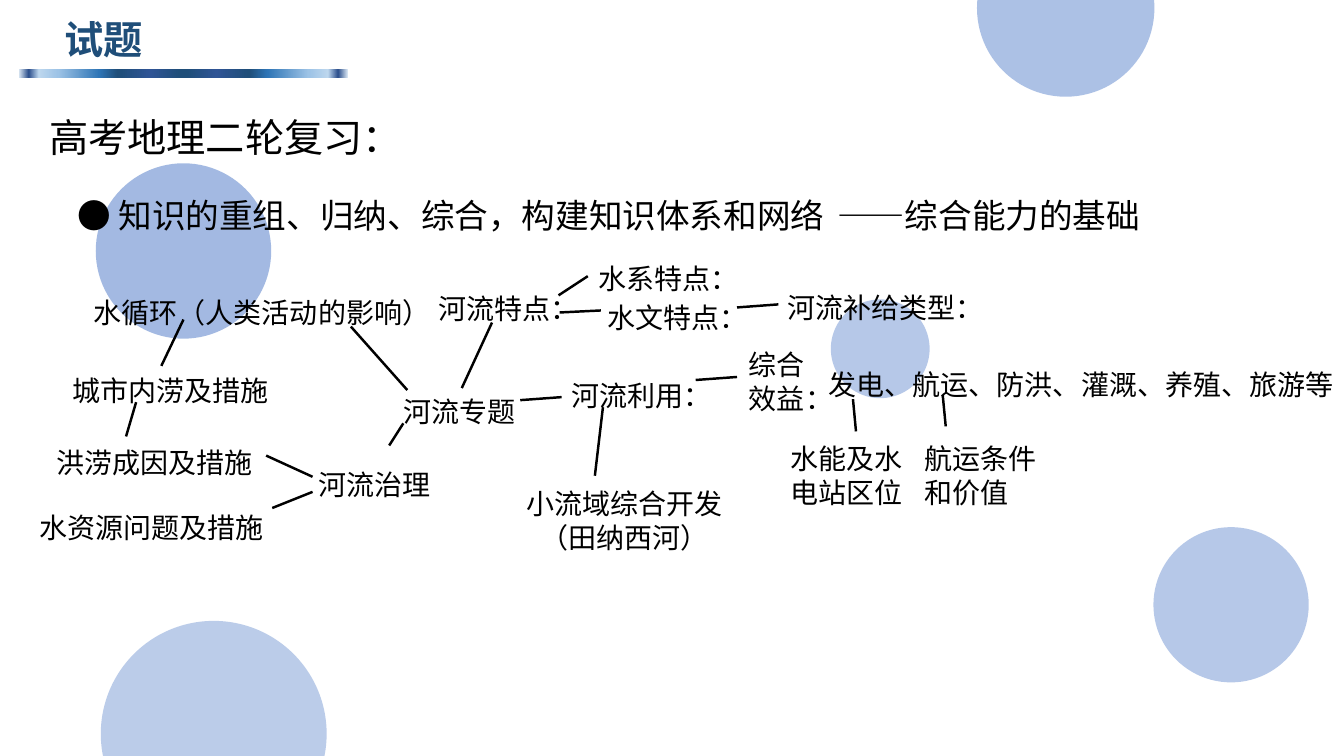
from typing import NamedTuple

from lxml import etree
from pptx import Presentation
from pptx.dml.color import RGBColor
from pptx.enum.shapes import MSO_CONNECTOR, MSO_SHAPE
from pptx.enum.text import MSO_AUTO_SIZE, PP_ALIGN
from pptx.oxml.ns import qn
from pptx.util import Emu, Pt

PX = 9144
FONT = "Noto Sans CJK SC"
BLACK = RGBColor(0x00, 0x00, 0x00)
NAVY = RGBColor(0x1F, 0x4E, 0x79)
BLUE = RGBColor(0x44, 0x72, 0xC4)
OVAL, RECT = MSO_SHAPE.OVAL, MSO_SHAPE.RECTANGLE
STRAIGHT = MSO_CONNECTOR.STRAIGHT
LEFT, CENTER = PP_ALIGN.LEFT, PP_ALIGN.CENTER
FIT = MSO_AUTO_SIZE.SHAPE_TO_FIT_TEXT


class Label(NamedTuple):
    text: str
    x: int
    y: int
    w: int
    h: int = 61
    size: int = 20
    spacing: float = 1.5
    align: PP_ALIGN = LEFT
    color: RGBColor = BLACK
    bold: bool = False


class Bubble(NamedTuple):
    x: int
    y: int
    d: int
    alpha: int


class Link(NamedTuple):
    x1: int
    y1: int
    x2: int
    y2: int


BAR_STOPS = [
    (2, "1F4E79"), (20, "2F5495"), (40, "1F4E79"), (51, "2E75B6"),
    (76, "9DC3E6"), (88, "BDD7EE"), (94, "2D508D"), (100, "DEEBF7"),
]

BUBBLES = [
    Bubble(95, 162, 174, 49),
    Bubble(824, 297, 98, 39),
    Bubble(1144, 523, 154, 39),
    Bubble(969, -80, 176, 44),
    Bubble(100, 616, 224, 36),
]

LABELS = [
    Label("试题", 54, 10, 142, 57, 28, 1.0, color=NAVY, bold=True),
    Label("高考地理二轮复习：", 39, 84, 415, 81, 28),
    Label("● 知识的重组、归纳、综合，构建知识体系和网络", 67, 168, 763, 71, 24),
    Label("——综合能力的基础", 821, 168, 390, 71, 24),
    Label("河流专题", 390, 370, 161),
    Label("水循环（人类活动的影响）", 83, 272, 378),
    Label("河流特点：", 425, 268, 161, 55),
    Label("水系特点：", 584, 238, 161),
    Label("水文特点：", 593, 277, 161),
    Label("河流补给类型：", 771, 267, 196),
    Label("河流利用：", 557, 354, 149, 55),
    Label("综合效益：", 733, 340, 89, 77, spacing=1.0),
    Label("发电、航运、防洪、灌溉、养殖、旅游等", 812, 343, 533),
    Label("水能及水电站区位", 774, 433, 148, 77, spacing=1.0),
    Label("航运条件和价值", 907, 433, 132, 77, spacing=1.0),
    Label("小流域综合开发（田纳西河）", 502, 478, 235, 77, spacing=1.0, align=CENTER),
    Label("河流治理", 306, 442, 161, 55),
    Label("水资源问题及措施", 29, 485, 256),
    Label("洪涝成因及措施", 46, 420, 236),
    Label("城市内涝及措施", 62, 349, 236),
]

LINKS = [
    Link(348, 324, 404, 387),
    Link(488, 320, 458, 385),
    Link(583, 274, 554, 293),
    Link(596, 308, 555, 310),
    Link(772, 302, 731, 305),
    Link(557, 394, 516, 397),
    Link(731, 374, 690, 377),
    Link(846, 396, 849, 428),
    Link(935, 392, 938, 423),
    Link(598, 404, 590, 472),
    Link(400, 420, 386, 442),
    Link(310, 473, 264, 452),
    Link(310, 488, 270, 504),
    Link(125, 433, 135, 399),
    Link(160, 363, 182, 317),
]


def px(*values: int) -> list[Emu]:
    """Turn pixel lengths into EMU."""
    return [Emu(v * PX) for v in values]


def add_bar(slide) -> None:
    """Draw the rule under the title with its radial gradient."""
    sp = slide.shapes.add_shape(RECT, *px(19, 69, 326, 8))
    sp.shadow.inherit = False
    sp.line.fill.background()
    sp.fill.gradient()
    grad = sp._element.spPr.find(qn("a:gradFill"))
    for child in list(grad):
        grad.remove(child)
    stops = etree.SubElement(grad, qn("a:gsLst"))
    for pos, color in BAR_STOPS:
        stop = etree.SubElement(stops, qn("a:gs"), pos=str(pos * 1000))
        etree.SubElement(stop, qn("a:srgbClr"), val=color)
    radial = etree.SubElement(grad, qn("a:path"), path="circle")
    center = dict.fromkeys("ltrb", "50000")
    etree.SubElement(radial, qn("a:fillToRect"), center)


def add_bubble(slide, bubble: Bubble) -> None:
    """Draw one translucent background circle."""
    sp = slide.shapes.add_shape(OVAL, *px(bubble.x, bubble.y, bubble.d, bubble.d))
    sp.shadow.inherit = False
    sp.line.fill.background()
    sp.fill.solid()
    sp.fill.fore_color.rgb = BLUE
    color = sp._element.spPr.find(qn("a:solidFill"))[0]
    etree.SubElement(color, qn("a:alpha"), val=str(bubble.alpha * 1000))


def add_label(slide, label: Label) -> None:
    """Place one text box."""
    sp = slide.shapes.add_textbox(*px(label.x, label.y, label.w, label.h))
    tf = sp.text_frame
    tf.word_wrap = True
    tf.auto_size = FIT
    p = tf.paragraphs[0]
    p.alignment = label.align
    p.line_spacing = label.spacing
    r = p.add_run()
    r.text = label.text
    formats = {"name": FONT, "size": Pt(label.size), "bold": label.bold}
    for name, value in formats.items():
        setattr(r.font, name, value)
    r.font.color.rgb = label.color
    etree.SubElement(r._r.get_or_add_rPr(), qn("a:ea"), typeface=FONT)


def add_link(slide, link: Link) -> None:
    """Draw one line between two topics."""
    cxn = slide.shapes.add_connector(STRAIGHT, *px(*link))
    cxn.line.color.rgb = BLACK
    cxn.line.width = Pt(1.75)
    etree.SubElement(cxn._element.spPr, qn("a:effectLst"))


def main() -> None:
    """Build and save the slide."""
    prs = Presentation()
    prs.slide_width, prs.slide_height = px(1333, 750)
    slide = prs.slides.add_slide(prs.slide_layouts[6])
    add_bar(slide)
    for bubble in BUBBLES:
        add_bubble(slide, bubble)
    for label in LABELS:
        add_label(slide, label)
    for link in LINKS:
        add_link(slide, link)
    prs.save("out.pptx")


if __name__ == "__main__":
    main()
